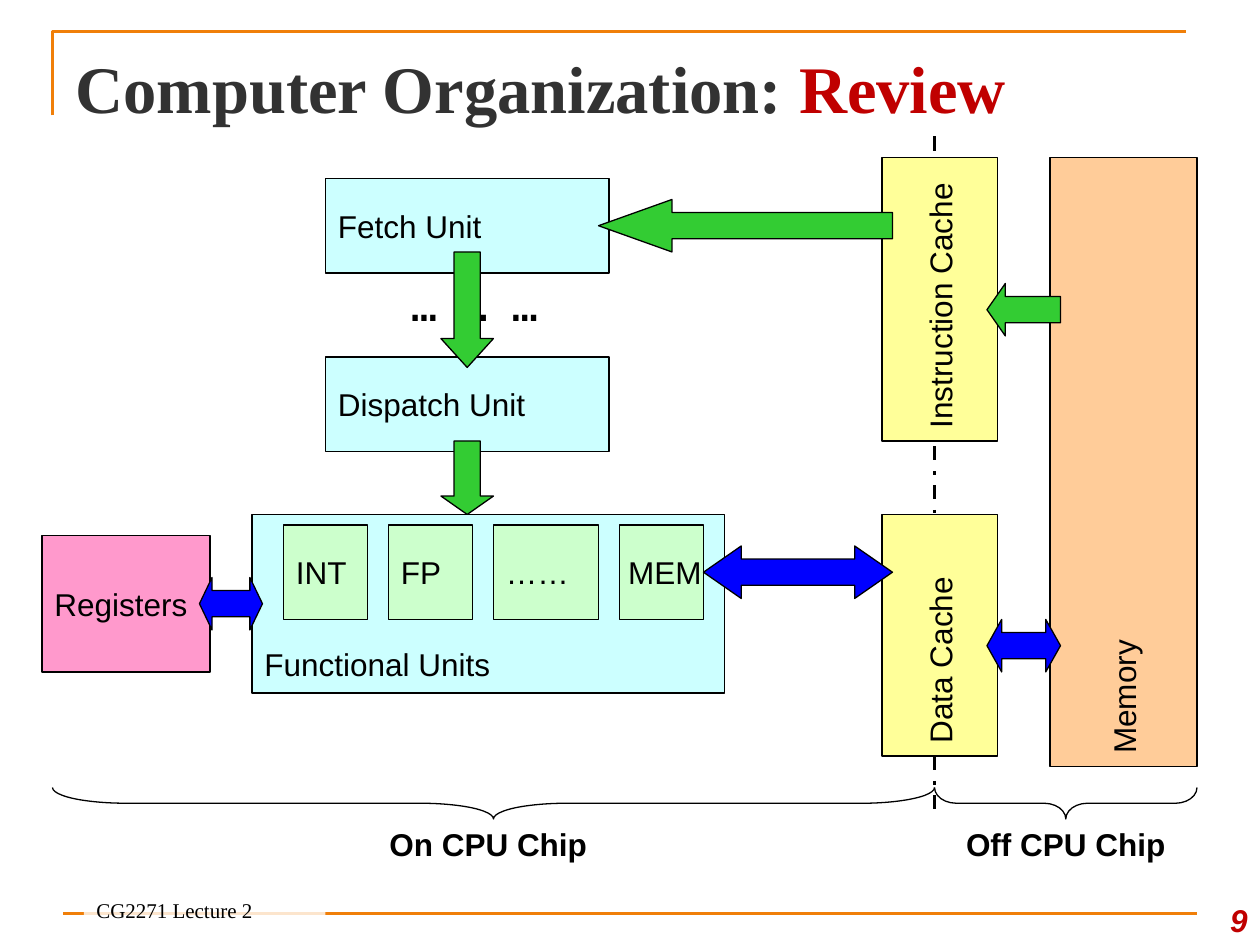
from lxml import etree
from pptx import Presentation
from pptx import util as u
from pptx.dml.color import RGBColor
from pptx.enum import dml, shapes, text
from pptx.oxml import ns

COLORS = {
    "accent": "F07F09", "title": "323232", "red": "C00000", "black": "000000",
    "white": "FFFFFF", "memory": "FFCC99", "cache": "FFFF99", "stage": "CCFFFF",
    "unit": "CCFFCC", "registers": "FF99CC", "fetch": "33CC33", "data": "0000FF",
}
SHAPE = shapes.MSO_SHAPE
ALIGN = text.PP_ALIGN
ANCHOR = text.MSO_ANCHOR


class Diagram:
    def __init__(self, prs):
        self.s = prs.slides.add_slide(prs.slide_layouts[5])

    def color(self, name):
        return RGBColor.from_string(COLORS[name])

    def font(self, r, size=18, name="Arial", color="black", bold=False, italic=False):
        r.font.size, r.font.name = u.Pt(size), name
        r.font.bold, r.font.italic = bold, italic
        r.font.color.rgb = self.color(color)

    def put_text(self, sp, words, align=ALIGN.LEFT, anchor=ANCHOR.MIDDLE, **style):
        tf = sp.text_frame
        tf.word_wrap = True
        tf.vertical_anchor = anchor
        tf.text = words
        p = tf.paragraphs[0]
        p.alignment = align
        self.font(p.runs[0], **style)

    def outline(self, line, color="black", width=0.75):
        line.color.rgb = self.color(color)
        line.width = u.Pt(width)

    def title(self, parts, box):
        sp = self.s.shapes.title
        sp.left, sp.top, sp.width, sp.height = map(u.Pt, box)
        tf = sp.text_frame
        tf.vertical_anchor = ANCHOR.MIDDLE
        p = tf.paragraphs[0]
        p.alignment = ALIGN.LEFT
        for words, color in parts:
            r = p.add_run()
            r.text = words
            self.font(r, 38, "Times New Roman", color, bold=True)

    def frame(self, points):
        fb = self.s.shapes.build_freeform(*points[0], scale=u.Pt(1))
        fb.add_line_segments(points[1:], close=False)
        sp = fb.convert_to_shape()
        sp.shadow.inherit = False
        sp.fill.background()
        self.outline(sp.line, "accent", 1.5)

    def line(self, x1, y1, x2, y2, color, width, dash=None):
        cx = self.s.shapes.add_connector(
            shapes.MSO_CONNECTOR.STRAIGHT, *map(u.Pt, (x1, y1, x2, y2)))
        self.outline(cx.line, color, width)
        if dash:
            cx.line.dash_style = dash
        etree.SubElement(cx._element.spPr, ns.qn("a:effectLst"))

    def shape(self, kind, box, fill=None, adjust=()):
        sp = self.s.shapes.add_shape(kind, *map(u.Pt, box))
        sp.shadow.inherit = False
        for i, value in enumerate(adjust):
            sp.adjustments[i] = value
        if fill:
            sp.fill.solid()
            sp.fill.fore_color.rgb = self.color(fill)
        else:
            sp.fill.background()
        self.outline(sp.line)
        return sp

    def block(self, words, box, fill, inset=7.2, anchor=ANCHOR.MIDDLE, upward=False):
        sp = self.shape(SHAPE.RECTANGLE, box, fill)
        tf = sp.text_frame
        if upward:
            tf._txBody.bodyPr.set("vert", "vert270")
            tf.margin_bottom = u.Pt(inset)
        else:
            tf.margin_left, tf.margin_right = u.Pt(inset), 0
            tf.margin_bottom = u.Pt(6 if anchor == ANCHOR.BOTTOM else 3.6)
        self.put_text(sp, words, anchor=anchor)

    def arrow(self, kind, box, fill, head):
        self.shape(kind, box, fill, (0.5, head))

    def brace(self, left, top, width, depth, curl):
        x = left + (width - depth) / 2
        y = top - (width - depth) / 2
        sp = self.shape(SHAPE.RIGHT_BRACE, (x, y, depth, width), adjust=(curl, 0.5))
        sp.rotation = 90

    def label(self, words, box, **style):
        sp = self.s.shapes.add_textbox(*map(u.Pt, box))
        self.put_text(sp, words, **style)

    def footer(self, words, box):
        sp = self.shape(SHAPE.RECTANGLE, box, "white")
        sp.line.fill.background()
        clr = sp._element.spPr.find(".//" + ns.qn("a:srgbClr"))
        etree.SubElement(clr, ns.qn("a:alpha")).set("val", "80000")
        self.put_text(sp, words, anchor=ANCHOR.BOTTOM, size=12, name="Times New Roman")


def main():
    prs = Presentation()
    prs.slide_width, prs.slide_height = u.Pt(720), u.Pt(540)
    d = Diagram(prs)

    d.frame([(30, 66), (30, 18), (678, 18)])
    d.line(36, 522, 684, 522, "accent", 1.5)
    d.title([("Computer Organization: ", "title"), ("Review", "red")],
            (36, 21.6, 648, 56))

    d.line(534, 78, 534, 468, "black", 2, dml.MSO_LINE.DASH_DOT)
    d.block("Memory", (600, 90, 84, 348), "memory", upward=True)
    d.block("Instruction Cache", (504, 90, 66, 162), "cache", upward=True)
    d.block("Data Cache", (504, 294, 66, 138), "cache", upward=True)

    d.block("Fetch Unit", (186, 102, 162, 54), "stage")
    d.block("Dispatch Unit", (186, 204, 162, 54), "stage")
    d.label("… … …", (228, 156, 90, 36), anchor=ANCHOR.TOP,
            size=24, name="Courier New", bold=True)
    d.block("Functional Units", (144, 294, 270, 102), "stage", anchor=ANCHOR.BOTTOM)
    for words, left, width, inset in (("INT", 162, 48, 7.2), ("FP", 222, 48, 7.2),
                                      ("……", 282, 60, 7.2), ("MEM", 354, 48, 5)):
        d.block(words, (left, 300, width, 54), "unit", inset)
    d.block("Registers", (24, 306, 96, 78), "registers")

    for kind, box, fill, head in (
        (SHAPE.LEFT_ARROW, (564, 162, 42, 30), "fetch", 0.35),
        (SHAPE.LEFT_ARROW, (342, 114, 168, 30), "fetch", 1.4),
        (SHAPE.DOWN_ARROW, (252, 144, 30, 66), "fetch", 0.55),
        (SHAPE.DOWN_ARROW, (252, 252, 30, 42), "fetch", 0.35),
        (SHAPE.LEFT_RIGHT_ARROW, (402, 312, 108, 30), "data", 0.72),
        (SHAPE.LEFT_RIGHT_ARROW, (114, 330, 36, 30), "data", 0.24),
        (SHAPE.LEFT_RIGHT_ARROW, (564, 354, 42, 30), "data", 0.28),
    ):
        d.arrow(kind, box, fill, head)

    for words, left, width, curl, label_left in (
        ("On CPU Chip", 30, 504, 2.33, 198),
        ("Off CPU Chip", 534, 150, 0.69, 528),
    ):
        d.brace(left, 450, width, 18, curl)
        d.label(words, (label_left, 468, 162, 29), align=ALIGN.CENTER, bold=True)

    d.label("9", (678, 504, 42, 36), align=ALIGN.RIGHT, anchor=ANCHOR.BOTTOM,
            color="red", bold=True, italic=True)
    d.footer("CG2271 Lecture 2", (48, 513, 138, 18))
    prs.save("out.pptx")


if __name__ == "__main__":
    main()
